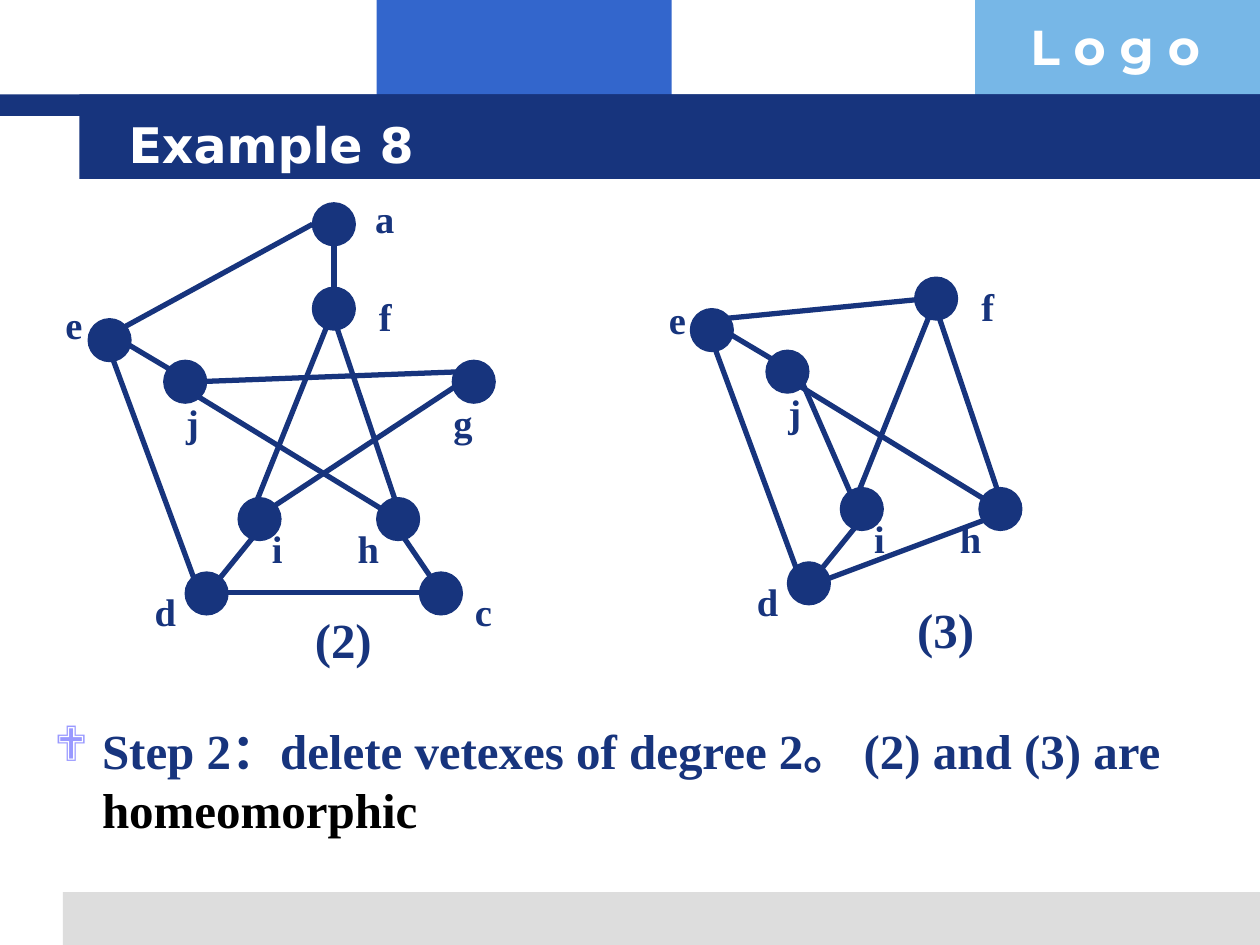
from lxml.etree import SubElement
from pptx import Presentation
from pptx.dml.color import RGBColor
from pptx.enum.shapes import MSO_CONNECTOR as Link, MSO_SHAPE as Shape
from pptx.enum.text import MSO_ANCHOR as Anchor, MSO_AUTO_SIZE as Fit, PP_ALIGN as Align
from pptx.oxml.ns import qn
from pptx.util import Inches, Pt

HUE = {"navy": "17347D", "blue": "3366CC", "sky": "77B7E7", "grey": "DDDDDD",
       "lilac": "9999FF", "white": "FFFFFF", "black": "000000"}
SERIF = "Times New Roman"

BANDS = [  # left, top, width, height, colour
    (2.99, 0, 2.34, 0.92, "blue"),
    (7.74, 0, 2.26, 0.92, "sky"),
    (0.5, 7.08, 9.5, 0.42, "grey"),
    (0, 0.75, 10, 0.17, "navy"),
    (0.63, 0.75, 9.37, 0.67, "navy"),
]
TITLE = "Example 8"
STEP = [("Step 2：delete vetexes of degree 2。 (2) and (3) are ", "navy"),
        ("homeomorphic", "black")]

# The part both graphs share, placed as in graph (2)
DOT = 0.34
DOTS = [(0.7, 2.53), (1.3, 2.86), (2.48, 2.28), (1.47, 4.54), (2.99, 3.95), (1.89, 3.95)]
EDGES = [
    (1.98, 4.12, 2.65, 2.45),  # i-f
    (0.87, 2.78, 1.55, 4.62),  # e-d
    (3.16, 4.12, 1.38, 3.03),  # h-j
    (3.16, 4.04, 2.65, 2.53),  # h-f
    (1.72, 4.62, 2.06, 4.2),   # d-i
    (1.38, 2.95, 0.96, 2.7),   # j-e
]
NAMES = [("i", 2.06, 4.12), ("h", 2.74, 4.12), ("j", 1.38, 3.12),
         ("f", 2.91, 2.28), ("d", 1.13, 4.62)]
MARK = (2.4, 4.79)

# What each graph adds, before its shift
GRAPHS = [
    {"mark": "(2)", "shift": (0, 0),
     "dots": [(2.48, 1.61), (3.33, 4.54), (3.59, 2.86)],
     "edges": [
         (1.72, 4.7, 3.42, 4.7),    # d-c
         (1.55, 3.03, 3.67, 2.95),  # j-g
         (2.14, 4.04, 3.67, 3.03),  # i-g
         (0.96, 2.61, 2.48, 1.78),  # e-a
         (2.65, 2.36, 2.65, 1.86),  # f-a
         (3.5, 4.7, 3.16, 4.2),     # c-h
     ],
     "names": [("g", 3.5, 3.12), ("c", 3.67, 4.62), ("e", 0.42, 2.34), ("a", 2.88, 1.5)]},
    {"mark": "(3)", "shift": (4.78, -0.08),
     "dots": [],
     "edges": [
         (1.72, 4.7, 3.16, 4.16),   # d-h
         (1.55, 3.03, 2.06, 4.2),   # j-i
         (0.95, 2.61, 2.48, 2.46),  # e-f
     ],
     "names": [("e", 0.43, 2.38)]},
]


def paint(name):
    return RGBColor.from_string(HUE[name])


def place(shape, *box):
    shape.left, shape.top, shape.width, shape.height = map(Inches, box)


def style(run, size, face, hue):
    font = run.font
    font.size, font.name, font.bold = Pt(size), face, True
    font.color.rgb = paint(hue)


def add_form(slide, kind, box, hue, edge=None):
    form = slide.shapes.add_shape(kind, *map(Inches, box))
    form.shadow.inherit = False
    form.fill.solid()
    form.fill.fore_color.rgb = paint(hue)
    if edge:
        form.line.color.rgb = paint(hue)
        form.line.width = Pt(edge)
    else:
        form.line.fill.background()


def add_edge(slide, ends):
    edge = slide.shapes.add_connector(Link.STRAIGHT, *map(Inches, ends))
    edge.line.color.rgb = paint("navy")
    edge.line.width = Pt(3)
    SubElement(edge.element.spPr, qn("a:effectLst"))


def add_text(slide, text, box, size, face=SERIF, hue="navy"):
    frame = slide.shapes.add_textbox(*map(Inches, box)).text_frame
    frame.word_wrap = True
    frame.text = text
    style(frame.paragraphs[0].runs[0], size, face, hue)


def add_graph(slide, graph):
    dx, dy = graph["shift"]
    for x1, y1, x2, y2 in EDGES + graph["edges"]:
        add_edge(slide, (x1 + dx, y1 + dy, x2 + dx, y2 + dy))
    for x, y in DOTS + graph["dots"]:
        add_form(slide, Shape.OVAL, (x + dx, y + dy, DOT, DOT), "navy", 0.75)
    for name, x, y in NAMES + graph["names"]:
        add_text(slide, name, (x + dx, y + dy, 0.43, 0.47), 22)
    x, y = MARK
    add_text(slide, graph["mark"], (x + dx, y + dy, 0.8, 0.57), 28)


def set_bullet(para, sign, hue, indent):
    props = para._p.get_or_add_pPr()
    props.set("marL", str(Inches(indent)))
    props.set("indent", str(-Inches(indent)))
    tint = SubElement(props, qn("a:buClr"))
    SubElement(tint, qn("a:srgbClr"), val=HUE[hue])
    SubElement(props, qn("a:buFont"), typeface="Wingdings")
    SubElement(props, qn("a:buChar"), char=sign)


def fill_title(title):
    place(title, 0.92, 0.83, 8.53, 0.62)
    frame = title.text_frame
    frame.text = TITLE
    frame.auto_size = Fit.NONE
    frame.vertical_anchor = Anchor.MIDDLE
    para = frame.paragraphs[0]
    para.alignment = Align.LEFT
    style(para.runs[0], 28, "DejaVu Sans", "white")


def fill_body(body):
    place(body, 0.33, 5.67, 9.42, 1.01)
    frame = body.text_frame
    frame.auto_size = Fit.NONE
    para = frame.paragraphs[0]
    para.space_before = Pt(0)
    set_bullet(para, "❖", "lilac", 0.38)
    for text, hue in STEP:
        run = para.add_run()
        run.text = text
        style(run, 28, SERIF, hue)


def main():
    deck = Presentation()
    deck.slide_width, deck.slide_height = Inches(10), Inches(7.5)
    slide = deck.slides.add_slide(deck.slide_layouts[1])
    title, body = slide.placeholders
    for *box, hue in BANDS:
        add_form(slide, Shape.RECTANGLE, box, hue)
    add_text(slide, "L o g o", (8.08, 0.08, 1.93, 0.57), 28, "Montserrat", "white")
    for holder in (title, body):  # in front of the bands
        slide.shapes.element.append(holder.element)
    fill_title(title)
    fill_body(body)
    for graph in GRAPHS:
        add_graph(slide, graph)
    deck.save("out.pptx")


if __name__ == "__main__":
    main()
